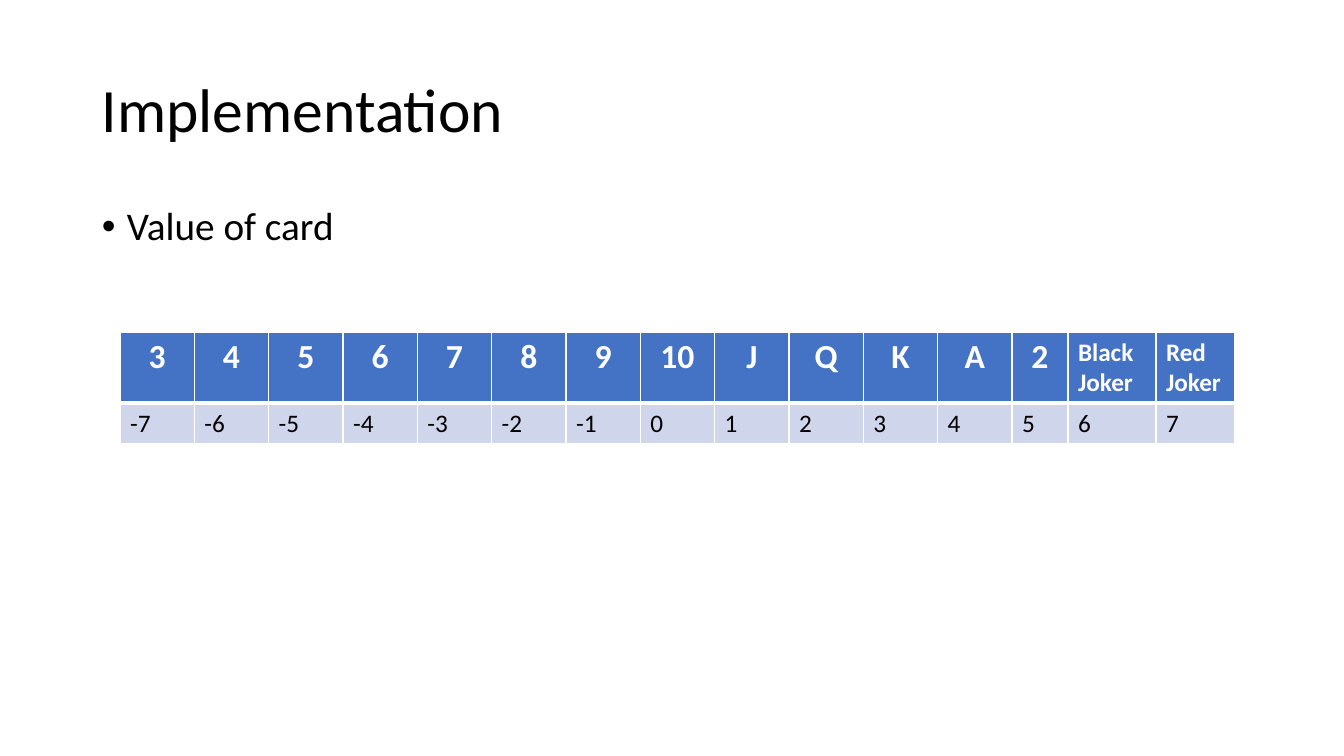
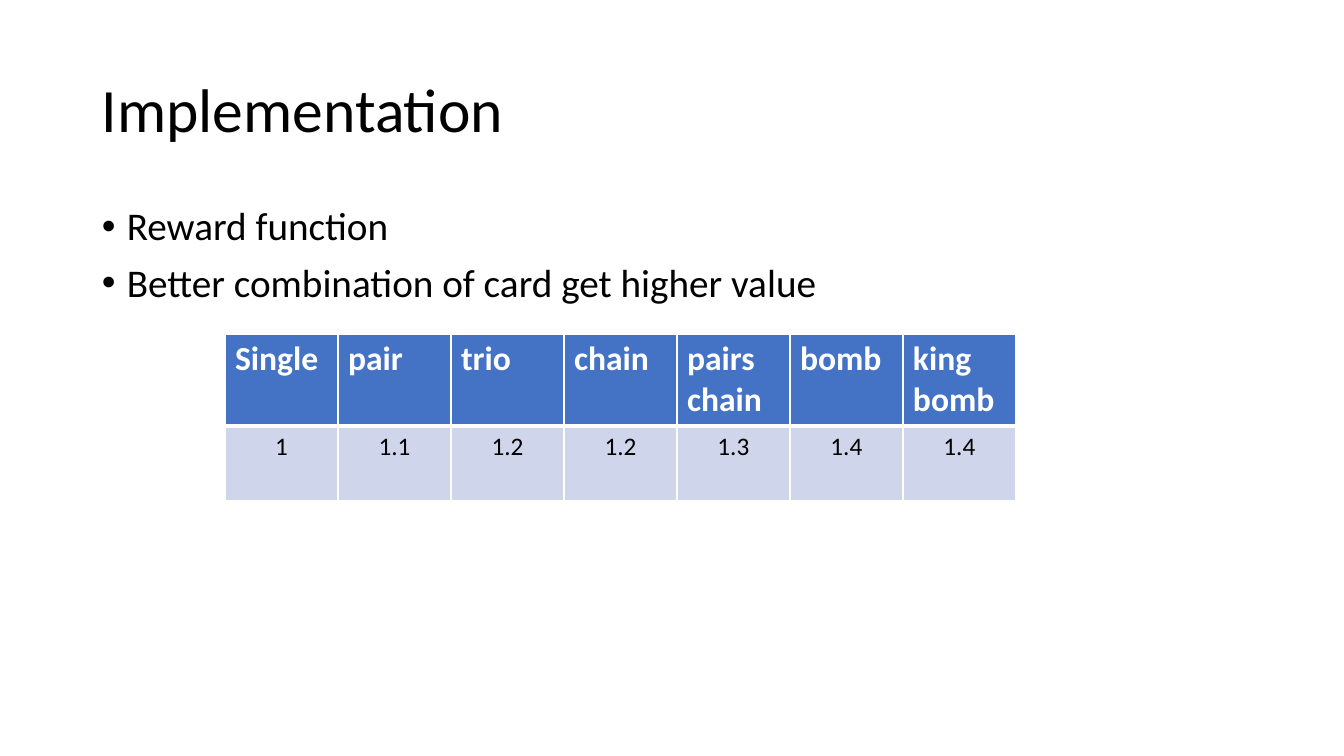
from collections import namedtuple

from lxml.etree import SubElement
from pptx import Presentation
from pptx.dml.color import RGBColor
from pptx.enum.text import MSO_ANCHOR, PP_ALIGN
from pptx.oxml.ns import qn
from pptx.util import Emu, Pt

COLORS = {"text": "000000", "header": "4472C4", "values": "CFD5EA", "white": "FFFFFF"}
FONT = "Calibri"
EMU_PER_PIXEL = 12192000 / 1344

Box = namedtuple("Box", "left top width height")
Cell = namedtuple("Cell", "text size align")
SLIDE = Box(0, 0, 1344, 756)
TITLE = Box(92, 40, 1160, 146)
BODY = Box(92, 202, 1160, 480)
INDENT = 25
LEFT, CENTER = PP_ALIGN.LEFT, PP_ALIGN.CENTER


def px(pixels):
    """Turn pixels into EMU."""
    return Emu(round(pixels * EMU_PER_PIXEL))


def add_run(paragraph, text, size, color="text", bold=False):
    """Add one formatted run to a paragraph."""
    run = paragraph.add_run()
    run.text = text
    run.font.name = FONT
    run.font.size = Pt(size)
    run.font.bold = bold
    run.font.color.rgb = RGBColor.from_string(COLORS[color])


def add_text_frame(slide, box):
    """Add a wrapping text box and return its text frame."""
    frame = slide.shapes.add_textbox(*map(px, box)).text_frame
    frame.word_wrap = True
    return frame


def add_title(slide, box, text):
    """Add the slide title, centred vertically in its box."""
    frame = add_text_frame(slide, box)
    frame.vertical_anchor = MSO_ANCHOR.MIDDLE
    paragraph = frame.paragraphs[0]
    paragraph.line_spacing = 0.9
    add_run(paragraph, text, 44)


def add_bullets(slide, box, lines):
    """Add a bulleted list."""
    frame = add_text_frame(slide, box)
    for index, line in enumerate(lines):
        paragraph = frame.add_paragraph() if index else frame.paragraphs[0]
        paragraph.line_spacing = 0.9
        paragraph.space_before = Pt(10)
        properties = paragraph._p.get_or_add_pPr()
        properties.set("marL", str(px(INDENT)))
        properties.set("indent", str(-px(INDENT)))
        SubElement(properties, qn("a:buFont"), typeface="Arial")
        SubElement(properties, qn("a:buChar"), char="•")
        add_run(paragraph, line, 28)


def set_borders(cell, top, bottom):
    """Draw white cell borders, with the given top and bottom widths in points."""
    properties = cell._tc.get_or_add_tcPr()
    for side, width in (("L", 1), ("R", 1), ("T", top), ("B", bottom)):
        line = SubElement(properties, qn(f"a:ln{side}"), w=str(Pt(width)))
        fill = SubElement(line, qn("a:solidFill"))
        SubElement(fill, qn("a:srgbClr"), val=COLORS["white"])


def fill_row(table, row, entries, fill, text_color, bold, top, bottom):
    """Fill one table row with text, colour and borders."""
    for column, entry in enumerate(entries):
        cell = table.cell(row, column)
        set_borders(cell, top, bottom)
        cell.fill.solid()
        cell.fill.fore_color.rgb = RGBColor.from_string(COLORS[fill])
        paragraph = cell.text_frame.paragraphs[0]
        paragraph.alignment = entry.align
        add_run(paragraph, entry.text, entry.size, text_color, bold)


def add_value_table(slide, box, widths, header_height, headers, values):
    """Add a table with a header row above a row of values."""
    table = slide.shapes.add_table(2, len(widths), *map(px, box)).table
    table.horz_banding = False
    for column, width in zip(table.columns, widths):
        column.width = px(width)
    table.rows[0].height = px(header_height)
    table.rows[1].height = px(box.height - header_height)
    fill_row(table, 0, headers, "header", "white", True, 1, 3)
    fill_row(table, 1, values, "values", "text", False, 3, 1)


def add_content_slide(presentation, bullets):
    """Add a slide with the shared title and its bullets."""
    slide = presentation.slides.add_slide(presentation.slide_layouts[6])
    add_title(slide, TITLE, "Implementation")
    add_bullets(slide, BODY, bullets)
    return slide


def build_card_slide(presentation):
    """Build the slide that lists the value of each card."""
    slide = add_content_slide(presentation, ["Value of card"])
    box = Box(120, 332, 1115, 112)
    ranks = "3 4 5 6 7 8 9 10 J Q K A 2".split()
    jokers = ["Black Joker", "Red Joker"]
    last_widths = [56, 88, 79]
    rank_count = len(ranks) - 1
    rank_width = (box.width - sum(last_widths)) / rank_count
    headers = [Cell(rank, 24, CENTER) for rank in ranks]
    headers += [Cell(joker, 18, LEFT) for joker in jokers]
    values = [Cell(str(value), 18, LEFT) for value in range(-7, 8)]
    widths = [rank_width] * rank_count + last_widths
    add_value_table(slide, box, widths, 71, headers, values)


def build_reward_slide(presentation):
    """Build the slide that lists the reward of each combination."""
    slide = add_content_slide(
        presentation, ["Reward function", "Better combination of card get higher value"]
    )
    box = Box(225, 334, 791, 167)
    rewards = [
        ("Single", "1"),
        ("pair", "1.1"),
        ("trio", "1.2"),
        ("chain", "1.2"),
        ("pairs chain", "1.3"),
        ("bomb", "1.4"),
        ("king bomb", "1.4"),
    ]
    headers = [Cell(name, 24, LEFT) for name, _ in rewards]
    values = [Cell(reward, 18, CENTER) for _, reward in rewards]
    widths = [box.width / len(rewards)] * len(rewards)
    add_value_table(slide, box, widths, 92, headers, values)


def main():
    """Build and save the presentation."""
    presentation = Presentation()
    presentation.slide_width = px(SLIDE.width)
    presentation.slide_height = px(SLIDE.height)
    build_card_slide(presentation)
    build_reward_slide(presentation)
    presentation.save("out.pptx")


main()
